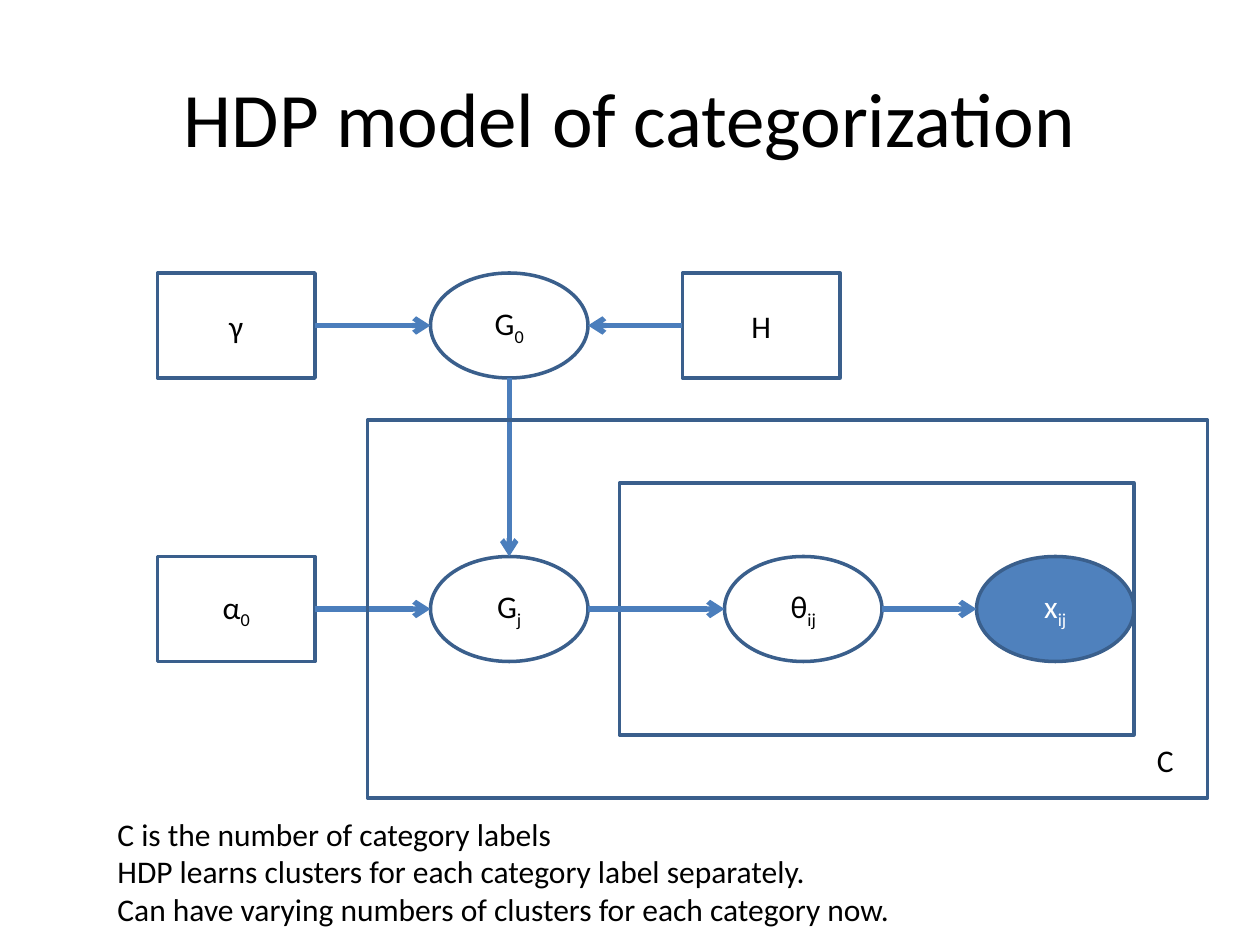
from dataclasses import dataclass

from lxml import etree
from pptx import Presentation
from pptx import util as u
from pptx.dml.color import RGBColor
from pptx.enum import shapes, text
from pptx.oxml import ns

COLORS = {
    "ink": "000000",
    "paper": "FFFFFF",
    "outline": "3A5F8C",
    "observed": "4F81BD",
    "arrow": "4B7EBC",
}
RECT = shapes.MSO_SHAPE.RECTANGLE
OVAL = shapes.MSO_SHAPE.OVAL
NODE_W, NODE_H = 90, 60
TOP_ROW, BOTTOM_ROW = 156, 318
LEFT, RIGHT = 1, 3


@dataclass
class Node:
    label: str
    x: float
    y: float
    sub: str = ""
    kind: shapes.MSO_SHAPE = OVAL
    observed: bool = False

    def side(self, name: str) -> tuple[float, float]:
        fx, fy = {"top": (0.5, 0), "left": (0, 0.5),
                  "bottom": (0.5, 1), "right": (1, 0.5)}[name]
        return self.x + fx * NODE_W, self.y + fy * NODE_H


@dataclass
class Arrow:
    start: str
    start_side: str
    end: str
    end_side: str


NODES = {
    "x": Node("x", 558, BOTTOM_ROW, "ij", observed=True),
    "theta": Node("θ", 414, BOTTOM_ROW, "ij"),
    "Gj": Node("G", 246, BOTTOM_ROW, "j"),
    "alpha": Node("α", 90, BOTTOM_ROW, "0", RECT),
    "G0": Node("G", 246, TOP_ROW, "0"),
    "gamma": Node("γ", 90, TOP_ROW, kind=RECT),
    "H": Node("H", 390, TOP_ROW, kind=RECT),
}
ARROWS = [
    Arrow("alpha", "right", "Gj", "left"),
    Arrow("G0", "bottom", "Gj", "top"),
    Arrow("Gj", "right", "theta", "left"),
    Arrow("theta", "right", "x", "left"),
    Arrow("gamma", "right", "G0", "left"),
    Arrow("H", "left", "G0", "right"),
]
NOTES = [
    "C is the number of category labels",
    "HDP learns clusters for each category label separately.",
    "Can have varying numbers of clusters for each category now.",
]


def rgb(name: str) -> RGBColor:
    return RGBColor.from_string(COLORS[name])


def write(sp, lines: list[str], *, size: float = 18, color: str = "ink",
          align=text.PP_ALIGN.LEFT, anchor=text.MSO_ANCHOR.TOP,
          sub: str = "") -> None:
    tf = sp.text_frame
    tf.word_wrap = True
    tf.vertical_anchor = anchor
    for i, line in enumerate(lines):
        p = tf.paragraphs[0] if i == 0 else tf.add_paragraph()
        p.alignment = align
        for part in filter(None, (line, sub)):
            r = p.add_run()
            r.text = part
            r.font.name = "Calibri"
            r.font.size = u.Pt(size)
            r.font.color.rgb = rgb(color)
            if part is sub:
                r._r.get_or_add_rPr().set("baseline", "-25000")


def add_box(s, kind, x: float, y: float, w: float, h: float, fill: str = ""):
    sp = s.shapes.add_shape(kind, u.Pt(x), u.Pt(y), u.Pt(w), u.Pt(h))
    sp.shadow.inherit = False
    if fill:
        sp.fill.solid()
        sp.fill.fore_color.rgb = rgb(fill)
    else:
        sp.fill.background()
    sp.line.color.rgb = rgb("outline")
    sp.line.width = u.Pt(2)
    return sp


def add_text(s, x: float, y: float, w: float, h: float, lines: list[str], **fmt) -> None:
    write(s.shapes.add_textbox(u.Pt(x), u.Pt(y), u.Pt(w), u.Pt(h)), lines, **fmt)


def add_node(s, node: Node):
    sp = add_box(s, node.kind, node.x, node.y, NODE_W, NODE_H,
                 "observed" if node.observed else "")
    write(sp, [node.label], sub=node.sub,
          color="paper" if node.observed else "ink",
          align=text.PP_ALIGN.CENTER, anchor=text.MSO_ANCHOR.MIDDLE)
    return sp


def add_arrow(s, arrow: Arrow, drawn: dict) -> None:
    start, end = NODES[arrow.start], NODES[arrow.end]
    points = start.side(arrow.start_side) + end.side(arrow.end_side)
    c = s.shapes.add_connector(shapes.MSO_CONNECTOR.STRAIGHT, *map(u.Pt, points))
    if start.kind == RECT:
        c.begin_connect(drawn[arrow.start], LEFT if arrow.start_side == "left" else RIGHT)
    c.line.color.rgb = rgb("arrow")
    c.line.width = u.Pt(3)
    etree.SubElement(c.line._get_or_add_ln(), ns.qn("a:tailEnd"), type="arrow")
    etree.SubElement(c._element.spPr, ns.qn("a:effectLst"))


def main() -> None:
    prs = Presentation()
    prs.slide_width, prs.slide_height = u.Pt(720), u.Pt(540)
    s = prs.slides.add_slide(prs.slide_layouts[6])
    add_text(s, 36, 21.6, 648, 90, ["HDP model of categorization"], size=44,
             align=text.PP_ALIGN.CENTER, anchor=text.MSO_ANCHOR.MIDDLE)
    add_box(s, RECT, 354, 276, 294, 144)
    drawn = {name: add_node(s, node) for name, node in NODES.items()}
    for arrow in ARROWS:
        add_arrow(s, arrow, drawn)
    add_box(s, RECT, 210, 240, 480, 216)
    add_text(s, 654, 420, 30, 29, ["C"])
    add_text(s, 60, 462, 588, 73, NOTES)
    prs.save("out.pptx")


if __name__ == "__main__":
    main()
